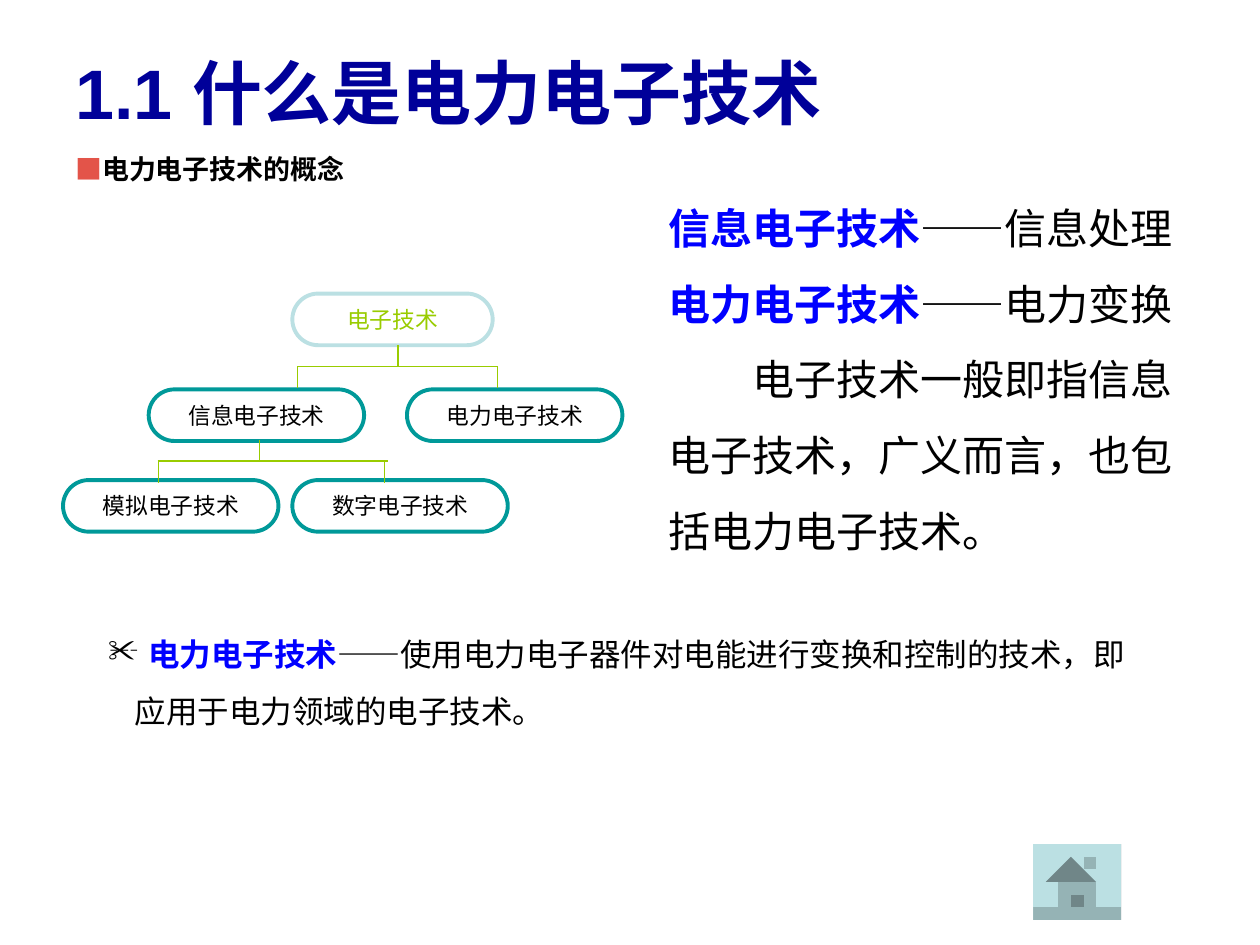
from pptx import Presentation
from pptx.dml.color import RGBColor
from pptx.enum.shapes import MSO_CONNECTOR, MSO_SHAPE
from pptx.enum.text import MSO_ANCHOR, PP_ALIGN
from pptx.oxml.ns import qn
from pptx.util import Inches, Pt
from lxml import etree

STRAIGHT = MSO_CONNECTOR.STRAIGHT
ROUNDED = MSO_SHAPE.ROUNDED_RECTANGLE
MIDDLE = MSO_ANCHOR.MIDDLE
CENTER = PP_ALIGN.CENTER
COLORS = {
    "navy": "000099", "blue": "0000FF", "black": "000000", "red": "E35449",
    "teal": "009999", "lime": "99CC00", "pale": "BBE0E3", "light": "C9E6E9",
    "shade": "95B3B5", "dark": "708688",
}

deck = Presentation()
deck.slide_width, deck.slide_height = Inches(10), Inches(7.5)
page = deck.slides.add_slide(deck.slide_layouts[6])
CELL = deck.slide_width / 100


def grid(*cells):
    return [round(cell * CELL) for cell in cells]


def write(para, size, *parts):
    for words, color, bold in parts:
        span = para.add_run()
        span.text = words
        span.font.size, span.font.bold, span.font.name = Pt(size), bold, "Arial"
        span.font.color.rgb = RGBColor.from_string(COLORS[color])
        east = etree.SubElement(span.font._element, qn("a:ea"))
        east.set("typeface", "Noto Sans CJK SC")


boxes = {}
for name, place in {
    "title": (5, 3.3, 89.2, 7.9),
    "topic": (5, 12.5, 90.8, 5.5),
    "terms": (52.1, 13.6, 43.8, 31),
    "definition": (7.6, 48.4, 84.1, 10),
}.items():
    boxes[name] = page.shapes.add_textbox(*grid(*place)).text_frame
    boxes[name].word_wrap = True

boxes["title"].vertical_anchor = MIDDLE
write(boxes["title"].paragraphs[0], 40, ("1.1 什么是电力电子技术", "navy", True))

topic = boxes["topic"].paragraphs[0]
topic.line_spacing = 0.6
write(topic, 15.4, ("■", "red", True), ("电力电子技术的概念", "black", True))

terms = [
    [("信息电子技术", "blue", True), ("——信息处理", "black", False)],
    [("电力电子技术", "blue", True), ("——电力变换", "black", False)],
    [("电子技术一般即指信息电子技术，广义而言，也包括电力电子技术。", "black", False)],
]
definition = [
    [("电力电子技术", "blue", True), ("——使用电力电子器件对电能进行变换和控制的技术，即", "black", False)],
    [("应用于电力领域的电子技术。", "black", False)],
]
for name, size, lines in (("terms", 24, terms), ("definition", 18, definition)):
    for index, parts in enumerate(lines):
        para = boxes[name].add_paragraph() if index else boxes[name].paragraphs[0]
        para.line_spacing = 1.5
        write(para, size, *parts)

boxes["terms"].paragraphs[2]._p.get_or_add_pPr().set("indent", str(Pt(48)))
first, second = [para._p.get_or_add_pPr() for para in boxes["definition"].paragraphs]
first.set("marL", str(Inches(0.32)))
first.set("indent", str(Inches(-0.32)))
bullet_color = etree.SubElement(first, qn("a:buClr"))
etree.SubElement(bullet_color, qn("a:srgbClr")).set("val", COLORS["black"])
etree.SubElement(first, qn("a:buChar")).set("char", "✂")
second.set("marL", str(Inches(0.21)))

NODE_HEIGHT = 4.1
for label, left, top, width, outline, ink in (
    ("模拟电子技术", 5, 38.1, 17.1, "teal", "black"),
    ("电子技术", 23.2, 23.3, 15.9, "pale", "lime"),
    ("信息电子技术", 11.8, 30.9, 17.1, "teal", "black"),
    ("电力电子技术", 32.3, 30.9, 17.1, "teal", "black"),
    ("数字电子技术", 23.2, 38.1, 17.1, "teal", "black"),
):
    node = page.shapes.add_shape(ROUNDED, *grid(left, top, width, NODE_HEIGHT))
    node.adjustments[0] = 0.5
    node.shadow.inherit = False
    node.fill.background()
    node.line.color.rgb = RGBColor.from_string(COLORS[outline])
    node.line.width = Pt(2.25)
    frame = node.text_frame
    frame.word_wrap = False
    frame.vertical_anchor = MIDDLE
    frame.margin_left = frame.margin_right = Inches(0.07)
    frame.margin_top = frame.margin_bottom = Inches(0.03)
    frame.paragraphs[0].alignment = CENTER
    write(frame.paragraphs[0], 13, (label, ink, False))

DROP = 1.7
for stem, bar_top, bar_left, bar_right, children in (
    (31.6, 29.1, 23.6, 39.5, (23.6, 39.5)),
    (20.6, 36.6, 12.5, 30.8, (12.6, 30.5)),
):
    segments = [(stem, bar_top - DROP, stem, bar_top), (bar_left, bar_top, bar_right, bar_top)]
    segments += [(child, bar_top, child, bar_top + DROP) for child in children]
    for ends in segments:
        branch = page.shapes.add_connector(STRAIGHT, *grid(*ends))
        branch.line.color.rgb = RGBColor.from_string(COLORS["lime"])
        branch.line.width = Pt(0.75)
        etree.SubElement(branch._element.spPr, qn("a:effectLst"))

L, T, R, B = 81.5, 66.7, 89.4, 72.9
BEVEL = 0.4
l, t, r, b = L + BEVEL, T + BEVEL, R - BEVEL, B - BEVEL
for color, points in (
    ("pale", [(L, T), (R, T), (R, B), (L, B)]),
    ("light", [(L, T), (R, T), (r, t), (l, t)]),
    ("dark", [(R, T), (R, B), (r, b), (r, t)]),
    ("shade", [(R, B), (L, B), (l, b), (r, b)]),
    ("light", [(L, B), (L, T), (l, t), (l, b)]),
    ("shade", [(86.2, 68.1), (86.7, 68.1), (86.7, 69.1), (86.2, 68.6)]),
    ("shade", [(83.9, 69.8), (87, 69.8), (87, 71.9), (83.9, 71.9)]),
    ("dark", [(85.4, 67.8), (87.4, 69.8), (83.4, 69.8)]),
    ("dark", [(85.2, 70.8), (85.7, 70.8), (85.7, 71.9), (85.2, 71.9)]),
):
    outline = page.shapes.build_freeform(*points[0], scale=CELL)
    outline.add_line_segments(points[1:], close=True)
    facet = outline.convert_to_shape()
    facet.shadow.inherit = False
    facet.fill.solid()
    facet.fill.fore_color.rgb = RGBColor.from_string(COLORS[color])
    facet.line.fill.background()

deck.save("out.pptx")
